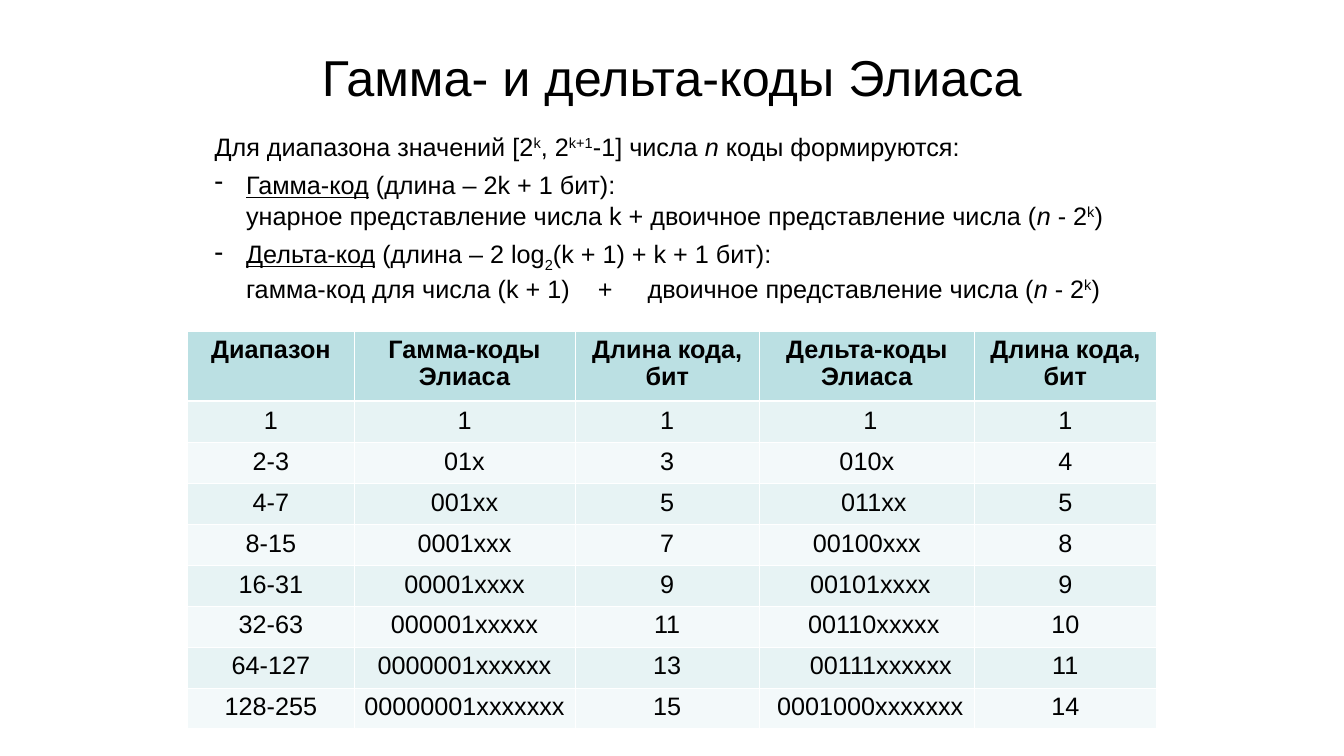
from lxml import etree
from pptx import Presentation
from pptx.dml.color import RGBColor
from pptx.enum.text import MSO_ANCHOR, PP_ALIGN
from pptx.oxml.ns import qn
from pptx.util import Pt

CENTER = PP_ALIGN.CENTER
MIDDLE = MSO_ANCHOR.MIDDLE
BLACK, WHITE = "000000", "FFFFFF"
HEADER_FILL, BAND_FILLS = "BBE0E3", ("E7F3F4", "F3F9FA")


def color(value):
    return RGBColor.from_string(value)


def add_run(para, text, size=18, bold=False, italic=False, underline=False, **extra):
    """Add one run; extra holds run attributes such as baseline or spc."""
    span = para.add_run()
    span.text = text
    font = span.font
    font.name, font.size, font.color.rgb = "Arial", Pt(size), color(BLACK)
    font.bold, font.italic, font.underline = bold, italic, underline
    for name, value in extra.items():
        font._element.set(name, str(value))


deck = Presentation()
deck.slide_width, deck.slide_height = Pt(960), Pt(540)
page = deck.slides.add_slide(deck.slide_layouts[6])

# Title
title = page.shapes.add_textbox(Pt(156), Pt(9.4), Pt(648), Pt(90)).text_frame
title.word_wrap = True
title.vertical_anchor = MIDDLE
title.paragraphs[0].alignment = CENTER
add_run(title.paragraphs[0], "Гамма- и дельта-коды Элиаса", size=36)

# Definitions: each paragraph is a list of lines, each line a list of runs
SUP, SUB = {"baseline": 30000}, {"baseline": -25000}
ITALIC, UNDERLINE = {"italic": True}, {"underline": True}
offset = [("n", ITALIC), (" - 2", {}), ("k", SUP), (")", {})]
definitions = [
    [[("Для диапазона значений [2", {}), ("k", SUP), (", 2", {}), ("k+1", SUP),
      ("-1] числа ", {}), ("n", ITALIC), (" коды формируются:", {})]],
    [[("Гамма-код", UNDERLINE), (" (длина – 2k + 1 бит):", {})],
     [("унарное представление числа k + двоичное представление числа (", {})] + offset],
    [[("Дельта-код", UNDERLINE), (" (длина – 2 log", {}), ("2", SUB),
      ("(k + 1) + k + 1 бит):", {})],
     [("гамма-код для числа (k + 1)", {}), (" ", {"spc": 1500}), ("+", {}),
      (" ", {"spc": 2000}), ("двоичное представление числа (", {})] + offset],
]
body = page.shapes.add_textbox(Pt(146.2), Pt(90), Pt(658), Pt(129)).text_frame
body.word_wrap = True
for index, lines in enumerate(definitions):
    para = body.add_paragraph() if index else body.paragraphs[0]
    para.space_before = Pt(6)
    if index:
        properties = para._p.get_or_add_pPr()
        properties.set("marL", str(Pt(22.5)))
        properties.set("indent", str(-Pt(22.5)))
        etree.SubElement(properties, qn("a:buChar")).set("char", "-")
    for number, line in enumerate(lines):
        if number:
            para.add_line_break()
        for text, style in line:
            add_run(para, text, **style)

# Code table: values follow from the definitions of the two codes
rows = [["Диапазон", "Гамма-коды Элиаса", "Длина кода, бит",
         "Дельта-коды Элиаса", "Длина кода, бит"]]
for k in range(8):
    first, last = 2 ** k, 2 ** (k + 1) - 1
    prefix = f"{k + 1:b}"
    gamma = "0" * k + "1" + "х" * k
    delta = "0" * (len(prefix) - 1) + prefix + "х" * k
    span_text = f"{first}-{last}" if k else "1"
    rows.append([span_text, gamma, str(len(gamma)), delta, str(len(delta))])

column_widths = [118.8, 157.8, 131.8, 153.4, 130.2]
row_heights = [50.4] + [29.25] * 8
delta_shifts = [0, 5, 0, 10, 0, 5, 10, 20, 5]
table = page.shapes.add_table(len(rows), len(column_widths), Pt(134.1), Pt(236.3),
                              Pt(sum(column_widths)), Pt(sum(row_heights))).table
for column, width in zip(table.columns, column_widths):
    column.width = Pt(width)
for r, values in enumerate(rows):
    table.rows[r].height = Pt(row_heights[r])
    for c, value in enumerate(values):
        cell = table.cell(r, c)
        cell.margin_left = Pt(7.2 + (delta_shifts[r] if c == 3 else 0))
        cell.margin_right, cell.margin_top, cell.margin_bottom = Pt(7.2), Pt(5), Pt(3.6)
        para = cell.text_frame.paragraphs[0]
        para.alignment, para.line_spacing = CENTER, 0.93
        add_run(para, value, bold=r == 0)
        cell.fill.solid()
        cell.fill.fore_color.rgb = color(BAND_FILLS[(r - 1) % 2] if r else HEADER_FILL)

        # White borders, thicker under the header
        for position, side in enumerate(("lnL", "lnR", "lnT", "lnB")):
            thick = (r, side) in ((0, "lnB"), (1, "lnT"))
            border = etree.Element(qn("a:" + side), w=str(Pt(1.47 if thick else 0.45)))
            fill = etree.SubElement(border, qn("a:solidFill"))
            etree.SubElement(fill, qn("a:srgbClr")).set("val", WHITE)
            cell._tc.get_or_add_tcPr().insert(position, border)

deck.save("out.pptx")
